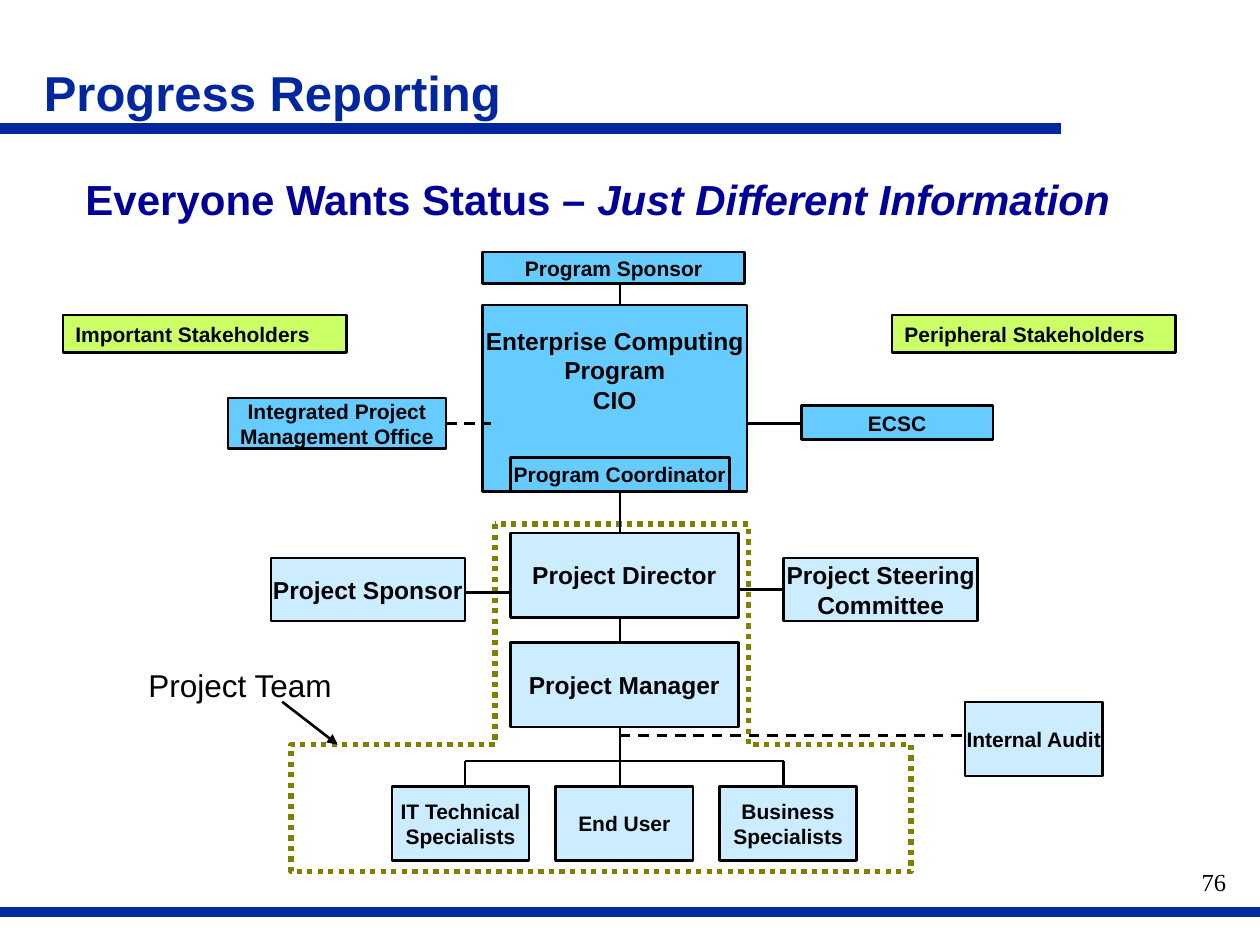
import pptx
import pptx.dml.color
import pptx.enum.dml
import pptx.enum.shapes
import pptx.enum.text
import pptx.oxml.ns
import pptx.util
from lxml import etree

RGBColor = pptx.dml.color.RGBColor
Align = pptx.enum.text.PP_ALIGN
Anchor = pptx.enum.text.MSO_ANCHOR
Dash = pptx.enum.dml.MSO_LINE

BLACK = RGBColor(0x00, 0x00, 0x00)
RULE_BLUE = RGBColor(0x00, 0x27, 0x9F)
HEADING_BLUE = RGBColor(0x00, 0x00, 0x99)
PROGRAM_BLUE = RGBColor(0x66, 0xCC, 0xFF)
PROJECT_BLUE = RGBColor(0xCC, 0xEC, 0xFF)
STAKEHOLDER_GREEN = RGBColor(0xCC, 0xFF, 0x66)
TEAM_OLIVE = RGBColor(0x80, 0x80, 0x00)

COLUMNS, ROWS = 100, 75


class OrgChart:
    font = "Arial"
    stroke = 1.5

    def __init__(self, deck):
        self.page = deck.slides.add_slide(deck.slide_layouts[6])
        self.column = deck.slide_width / COLUMNS
        self.row = deck.slide_height / ROWS

    def place(self, x, y):
        return round(x * self.column), round(y * self.row)

    def set_text(self, box, text, size, color=BLACK, bold=True, align=Align.LEFT,
                 anchor=Anchor.TOP, wrap=True, font=None):
        frame = box.text_frame
        frame.text = text
        frame.word_wrap = wrap
        frame.vertical_anchor = anchor
        for para in frame.paragraphs:
            para.alignment = align
            for span in para.runs:
                span.font.name = font or self.font
                span.font.size = pptx.util.Pt(size)
                span.font.bold = bold
                span.font.color.rgb = color
        return frame

    def label(self, x, y, width, height, text, size, **style):
        box = self.page.shapes.add_textbox(*self.place(x, y), *self.place(width, height))
        return self.set_text(box, text, size, **style)

    def box(self, x, y, width, height, text, fill, size=12, **style):
        box = self.page.shapes.add_shape(
            pptx.enum.shapes.MSO_SHAPE.RECTANGLE, *self.place(x, y), *self.place(width, height))
        box.shadow.inherit = False
        box.fill.solid()
        box.fill.fore_color.rgb = fill
        box.line.color.rgb = BLACK
        box.line.width = pptx.util.Pt(self.stroke)
        return self.set_text(box, text, size, **style)

    def unit(self, *args, **style):
        return self.box(*args, align=Align.CENTER, anchor=Anchor.MIDDLE, wrap=False, **style)

    def line(self, x1, y1, x2, y2, color=BLACK, width=stroke, dash=None, arrow=False):
        line = self.page.shapes.add_connector(
            pptx.enum.shapes.MSO_CONNECTOR.STRAIGHT, *self.place(x1, y1), *self.place(x2, y2))
        line.line.color.rgb = color
        line.line.width = pptx.util.Pt(width)
        if dash:
            line.line.dash_style = dash
        properties = line._element.spPr
        if arrow:
            outline = properties.find(pptx.oxml.ns.qn("a:ln"))
            head = etree.SubElement(outline, pptx.oxml.ns.qn("a:tailEnd"))
            head.set("type", "triangle")
        etree.SubElement(properties, pptx.oxml.ns.qn("a:effectLst"))

    def boundary(self, points):
        start, *rest = [self.place(*point) for point in points]
        builder = self.page.shapes.build_freeform(*start)
        builder.add_line_segments(rest, close=True)
        outline = builder.convert_to_shape()
        outline.shadow.inherit = False
        outline.fill.background()
        outline.line.color.rgb = TEAM_OLIVE
        outline.line.width = pptx.util.Pt(3)
        outline.line.dash_style = Dash.ROUND_DOT


def add_headings(chart):
    chart.line(0, 10.2, 84.2, 10.2, RULE_BLUE, 6)
    chart.line(0, 72.4, 100, 72.4, RULE_BLUE, 6)
    title = chart.label(2.5, 5, 82.1, 5.3, "Progress Reporting", 28,
                        color=RULE_BLUE, anchor=Anchor.MIDDLE)
    title.paragraphs[0].line_spacing = 0.85
    heading = chart.label(5.8, 13.3, 85, 5, "Everyone Wants Status – ", 24, color=HEADING_BLUE)
    span = heading.paragraphs[0].add_run()
    span.text = "Just Different Information"
    span.font.name = chart.font
    span.font.size = pptx.util.Pt(24)
    span.font.bold = span.font.italic = True
    span.font.color.rgb = HEADING_BLUE
    chart.label(77.5, 68.3, 20.8, 5, "76", 14, bold=False,
                align=Align.RIGHT, font="Times New Roman")


def add_units(chart):
    for x, group in ((5, "Important"), (70.8, "Peripheral")):
        chart.box(x, 25, 22.5, 3, f"{group} Stakeholders", STAKEHOLDER_GREEN)

    program = chart.unit(38.3, 24.2, 21, 14.8, "Enterprise Computing\nProgram\nCIO",
                         PROGRAM_BLUE, size=14)
    program.margin_bottom = pptx.util.Inches(0.5)
    for x, y, width, height, text in (
        (38.3, 20, 20.8, 2.5, "Program Sponsor"),
        (63.6, 32.2, 15.2, 2.7, "ECSC"),
        (18.1, 31.6, 17.3, 4, "Integrated Project\nManagement Office"),
        (40.5, 36.3, 17.4, 2.7, "Program Coordinator"),
    ):
        chart.unit(x, y, width, height, text, PROGRAM_BLUE)

    for y, role in ((42.3, "Director"), (51, "Manager")):
        chart.unit(40.5, y, 18.1, 6.7, f"Project {role}", PROJECT_BLUE, size=14)
    for x, text in ((21.5, "Project Sponsor"), (62.2, "Project Steering\nCommittee")):
        chart.unit(x, 44.3, 15.4, 5, text, PROJECT_BLUE, size=14)

    team = ("IT Technical\nSpecialists", "End User", "Business\nSpecialists")
    for index, text in enumerate(team):
        chart.unit(31.1 + 13 * index, 62.4, 10.9, 5.9, text, PROJECT_BLUE)
    chart.unit(76.6, 55.7, 10.9, 5.9, "Internal Audit", PROJECT_BLUE)


def add_links(chart):
    spine = 49.2
    chart.line(spine, 22.5, spine, 24.2, width=1)
    for top, bottom in ((39.1, 42.3), (49, 51), (57.7, 62.4)):
        chart.line(spine, top, spine, bottom)
    for left, right, y in ((59.3, 63.6, 33.6), (36.9, 40.5, 47),
                           (58.6, 62.2, 46.8), (36.9, 62.2, 60.4)):
        chart.line(left, y, right, y)
    for x in (36.9, 62.2):
        chart.line(x, 60.4, x, 62.3)
    for left, right, y in ((35.4, 39, 33.6), (spine, 76.6, 58.4)):
        chart.line(left, y, right, y, dash=Dash.DASH)


def main():
    deck = pptx.Presentation()
    deck.slide_width = pptx.util.Inches(10)
    deck.slide_height = pptx.util.Inches(7.5)
    chart = OrgChart(deck)
    add_headings(chart)
    add_units(chart)
    chart.boundary([(39.3, 41.6), (39.3, 59.1), (23.1, 59.1), (23.1, 69.2),
                    (72.3, 69.2), (72.3, 59.1), (59.4, 59.1), (59.4, 41.6)])
    add_links(chart)
    chart.label(10.8, 52.4, 16.6, 7, "Project Team", 18, bold=False)
    chart.line(22.4, 55.7, 26.8, 59.1, arrow=True)
    deck.save("out.pptx")


if __name__ == "__main__":
    main()
